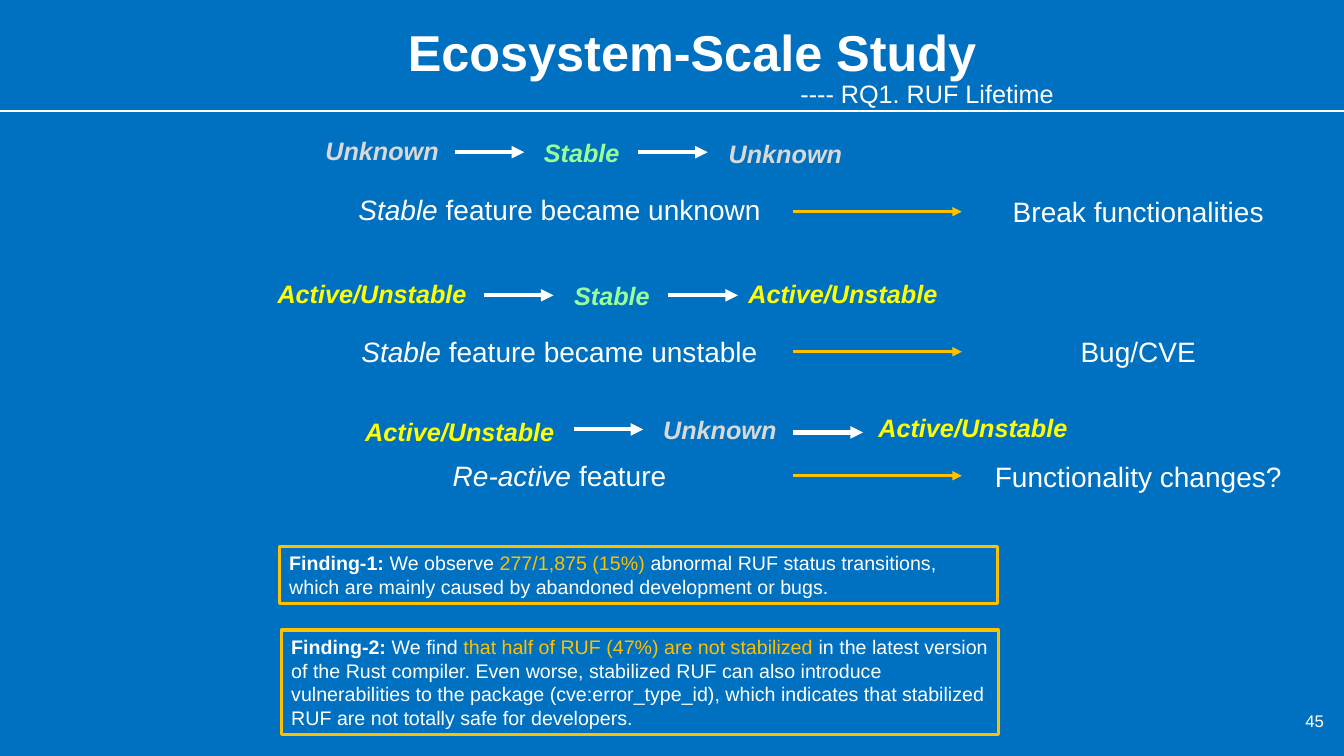
from lxml import etree
from pptx import Presentation
from pptx import util as u
from pptx.dml.color import RGBColor
from pptx.enum import shapes, text
from pptx.oxml.ns import qn

HUES = {"back": "0070C0", "white": "FFFFFF", "gold": "FFC000",
        "yellow": "FFFF00", "green": "99FF99", "grey": "D9D9D9"}
# state: (colour, label width)
STATES = {"Active/Unstable": ("yellow", 2.18), "Stable": ("green", 1.3),
          "Unknown": ("grey", 1.46)}
MID, END = 5.55, 11.29  # centres of the claim and effect columns

# Offsets down are measured from the top of each band.
BANDS = [
    {"top": 1.29,
     "states": [("Unknown", 3.06, 0), ("Stable", 5.12, 0.02), ("Unknown", 7.06, 0.03)],
     "steps": [(4.51, 0.22), (6.33, 0.22)],
     "claim": ([("Stable ", "i"), ("feature became unknown", "")], 4.22, 0.57),
     "link": 0.81, "effect": ("Break functionalities", 2.71, 0.59)},
    {"top": 2.71,
     "states": [("Active/Unstable", 2.6, 0), ("Stable", 5.42, 0.02),
                ("Active/Unstable", 7.27, 0)],
     "steps": [(4.8, 0.22), (6.63, 0.22)],
     "claim": ([("Stable ", "i"), ("feature became unstable", "")], 4.16, 0.56),
     "link": 0.78, "effect": ("Bug/CVE", 1.36, 0.56)},
    {"top": 4.04,
     "states": [("Active/Unstable", 3.47, 0.04), ("Unknown", 6.41, 0.02),
                ("Active/Unstable", 8.56, 0)],
     "steps": [(5.69, 0.22), (7.87, 0.25)],
     "claim": ([("Re-active", "i"), (" feature", "")], 2.34, 0.46),
     "link": 0.68, "effect": ("Functionality changes?", 3.07, 0.47)},
]

FINDS = [
    ((2.77, 5.42, 7.12, 0.57),
     [("Finding-1: ", "b"), ("We observe ", ""), ("277/1,875 (15%) ", "", "gold"),
      ("abnormal RUF status transitions, which are mainly caused by abandoned "
       "development or bugs.", "")]),
    ((2.79, 6.25, 7.11, 1.04),
     [("Finding-2: ", "b"), ("We find ", ""),
      ("that half of RUF (47%) are not stabilized ", "", "gold"),
      ("in the latest version of the Rust compiler. Even worse, stabilized RUF can "
       "also introduce vulnerabilities to the package (cve:error_type_id), which "
       "indicates that stabilized RUF are not totally safe for developers.", "")]),
]


def hue(name):
    return RGBColor.from_string(HUES[name])


def inches(box):
    return [u.Inches(n) for n in box]


def write(frame, runs, size, align=text.PP_ALIGN.CENTER):
    """Fill the first paragraph; a run is (words, style letters, colour)."""
    para = frame.paragraphs[0]
    para.alignment = align
    for words, style, *tint in runs:
        run = para.add_run()
        run.text = words
        font = run.font
        font.name, font.size = "Arial", u.Pt(size)
        font.bold, font.italic = "b" in style, "i" in style
        font.color.rgb = hue(tint[0] if tint else "white")
    return para


def label(slide, box, runs, size, align=text.PP_ALIGN.CENTER, wrap=True):
    frame = slide.shapes.add_textbox(*inches(box)).text_frame
    frame.word_wrap = wrap
    write(frame, runs, size, align)
    return frame


def rule(slide, x, y, width, tint, weight, head=True):
    """Draw a level line, with an arrowhead at its right end if head."""
    line = slide.shapes.add_connector(
        shapes.MSO_CONNECTOR.STRAIGHT, *inches((x, y, x + width, y)))
    line.line.color.rgb = hue(tint)
    line.line.width = u.Pt(weight)
    if head:
        etree.SubElement(line.line._get_or_add_ln(), qn("a:tailEnd"), type="triangle")
    etree.SubElement(line._element.spPr, qn("a:effectLst"))


def header(slide, box):
    left, top, width, height = box
    rule(slide, 0, top + 1.01, 13.33, "white", 1.5, head=False)
    title = slide.shapes.title
    title.left, title.top, title.width, title.height = inches(box)
    frame = title.text_frame
    frame.word_wrap = True
    frame.vertical_anchor = text.MSO_ANCHOR.MIDDLE
    write(frame, [("Ecosystem-Scale Study", "b")], 36).line_spacing = 0.9
    label(slide, (left + 5.82, top + 0.64, 5.49, 0.4),
          [("---- RQ1. RUF Lifetime", "")], 18, text.PP_ALIGN.LEFT)


def band(slide, top, states, steps, claim, link, effect):
    """Place one chain of states above its claim and effect."""
    for name, x, down in states:
        tint, width = STATES[name]
        label(slide, (x, top + down, width, 0.4), [(name, "bi", tint)], 18)
    for x, down in steps:
        rule(slide, x, top + down, 0.69, "white", 3)
    words, width, down = claim
    label(slide, (MID - width / 2, top + down, width, 0.44), words, 20, wrap=False)
    rule(slide, 7.87, top + link, 1.67, "gold", 2.25)
    words, width, down = effect
    label(slide, (END - width / 2, top + down, width, 0.44),
          [(words, "")], 20, wrap=False)


def finding(slide, box, runs):
    card = slide.shapes.add_shape(shapes.MSO_SHAPE.RECTANGLE, *inches(box))
    card.shadow.inherit = False
    card.fill.background()
    card.line.color.rgb = hue("gold")
    card.line.width = u.Pt(2.25)
    frame = card.text_frame
    frame.word_wrap = True
    frame.vertical_anchor = text.MSO_ANCHOR.TOP
    write(frame, runs, 14, text.PP_ALIGN.LEFT)


def main():
    deck = Presentation()
    deck.slide_width, deck.slide_height = inches((13.33, 7.5))
    slide = deck.slides.add_slide(deck.slide_layouts[5])
    slide.background.fill.solid()
    slide.background.fill.fore_color.rgb = hue("back")
    header(slide, (2.02, 0.09, 9.69, 0.91))
    for row in BANDS:
        band(slide, **row)
    for box, runs in FINDS:
        finding(slide, box, runs)
    page = label(slide, (12.7, 6.95, 0.53, 0.4), [("45", "")], 12,
                 text.PP_ALIGN.RIGHT)
    page.vertical_anchor = text.MSO_ANCHOR.MIDDLE
    deck.save("out.pptx")


if __name__ == "__main__":
    main()
